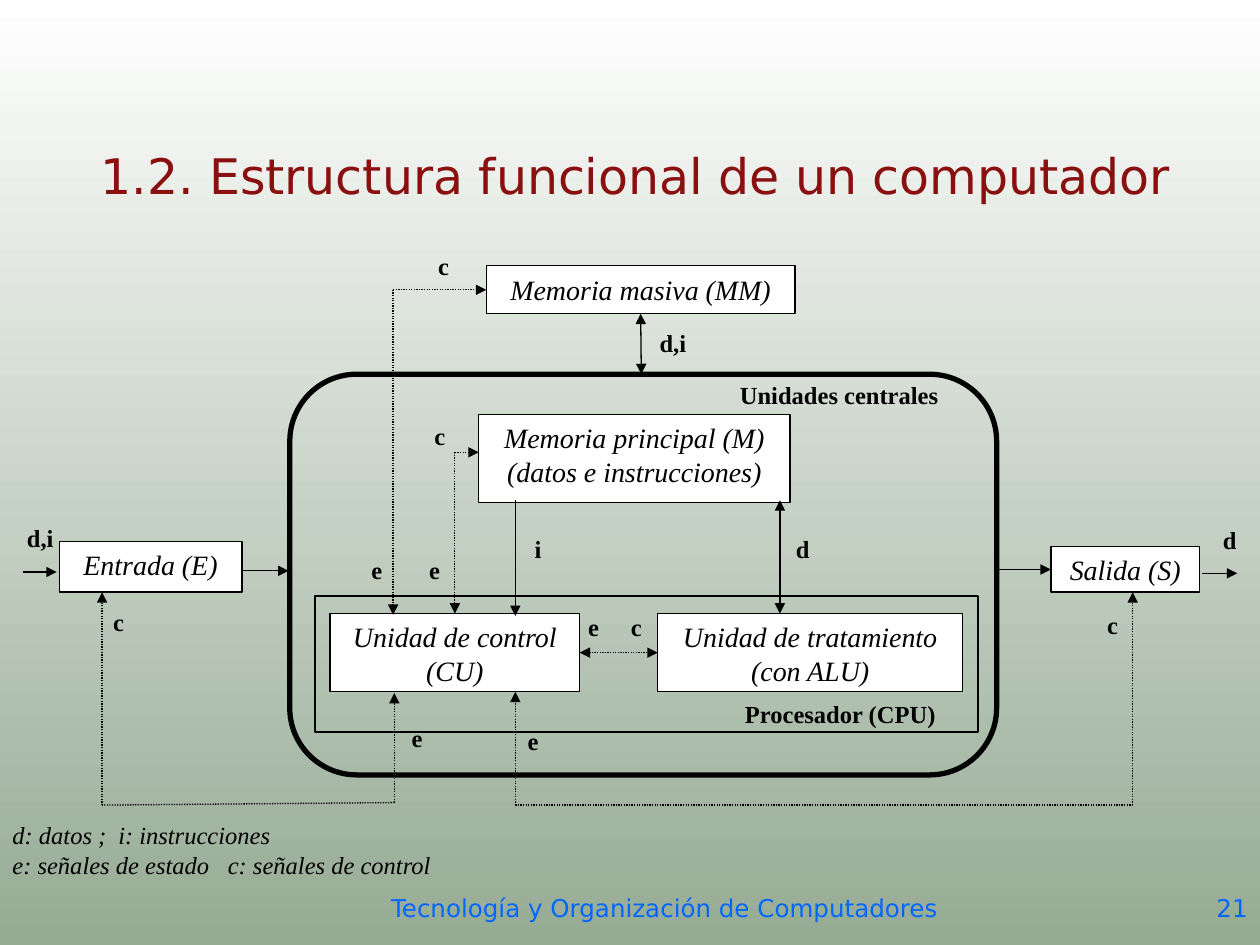
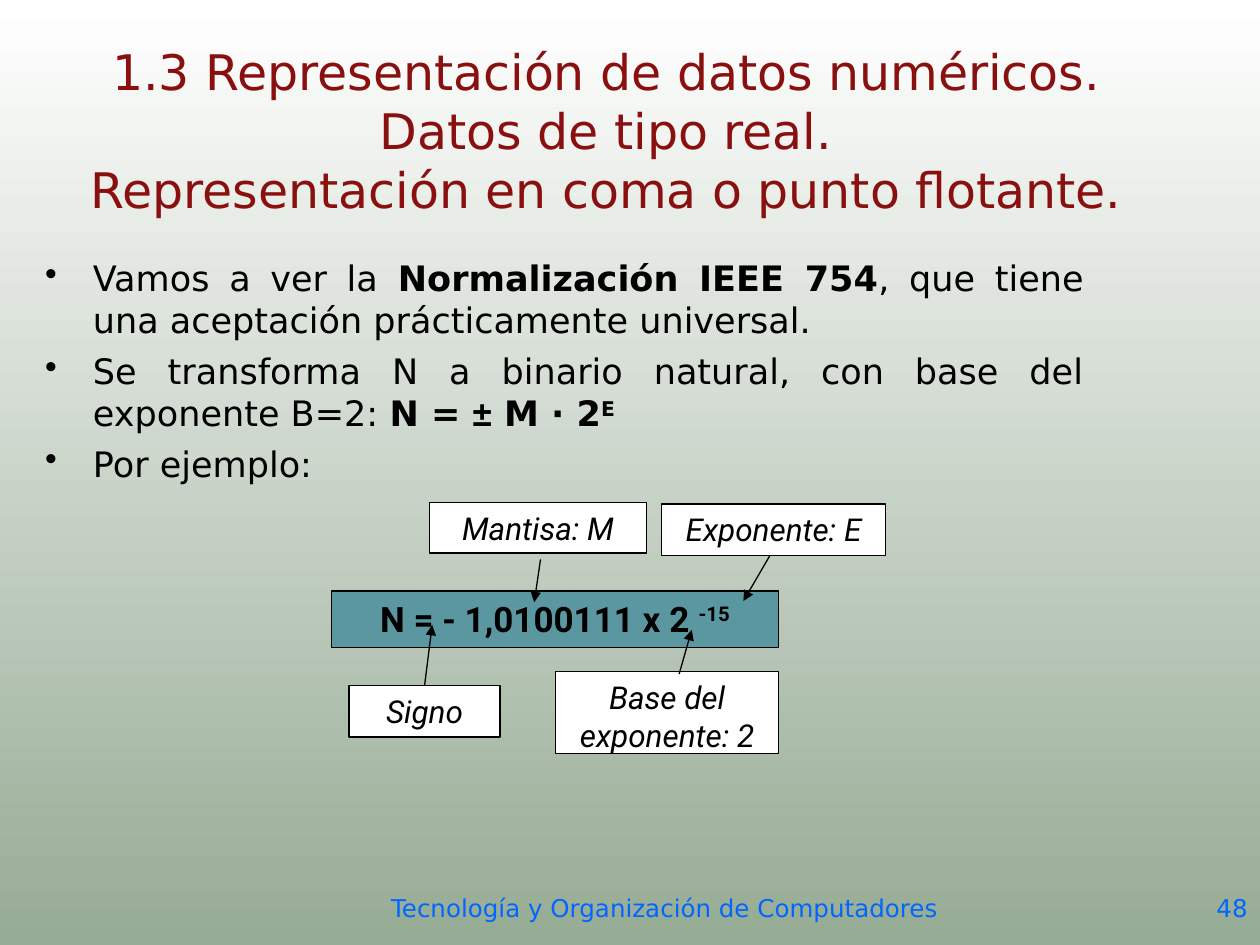
from lxml import etree
from pptx import Presentation
from pptx.dml.color import RGBColor
from pptx.enum import dml, shapes, text
from pptx.oxml import ns
from pptx.util import Inches, Pt

COLORS = {
    "title": "8A1010",
    "footer": "0066FF",
    "ink": "000000",
    "box": "FFFFFF",
    "formula": "5A97A1",
    "bg_top": "FFFFFF",
    "bg_bottom": "96AB94",
}
SANS = "DejaVu Sans"
SERIF = "Times New Roman"
ROBOTO = "Roboto"
FOOTER = "Tecnología y Organización de Computadores"
CENTER = text.PP_ALIGN.CENTER


def rgb(name):
    return RGBColor.from_string(COLORS[name])


def place(x, y, w, h):
    return Inches(x), Inches(y), Inches(w), Inches(h)


def sub(parent, tag, **attrs):
    return etree.SubElement(parent, ns.qn(tag), attrs)


def style(font, size, name, color="ink", bold=False, italic=False):
    font.size = Pt(size)
    font.name = name
    font.bold = bold
    font.italic = italic
    font.color.rgb = rgb(color)


def style_frame(tf, align, *args, **kwargs):
    tf.word_wrap = True
    for p in tf.paragraphs:
        p.alignment = align
        for r in p.runs:
            style(r.font, *args, **kwargs)


def superscript(r):
    r.font._element.set("baseline", "30000")


def textbox(s, at, content, align, *args, **kwargs):
    tf = s.shapes.add_textbox(*place(*at)).text_frame
    tf.text = content
    style_frame(tf, align, *args, **kwargs)
    return tf


def new_slide(prs, title, title_at, number):
    s = prs.slides.add_slide(prs.slide_layouts[5])
    fill = s.background.fill
    fill.gradient()
    fill.gradient_angle = 270
    for stop, name in zip(fill.gradient_stops, ("bg_top", "bg_bottom")):
        stop.color.rgb = rgb(name)

    sp = s.shapes.title
    sp.left, sp.top, sp.width, sp.height = place(*title_at)
    tf = sp.text_frame
    tf.text = title
    tf.auto_size = text.MSO_AUTO_SIZE.NONE
    tf.vertical_anchor = text.MSO_ANCHOR.MIDDLE
    style_frame(tf, CENTER, 28, SANS, "title")

    textbox(s, (8.55, 7.04, 1.45, 0.46), str(number), text.PP_ALIGN.RIGHT, 14, SANS, "footer")
    textbox(s, (2.11, 7.04, 6.33, 0.46), FOOTER, CENTER, 14, SANS, "footer")
    return s


def outline(s, at, width, preset=shapes.MSO_SHAPE.RECTANGLE):
    sp = s.shapes.add_shape(preset, *place(*at))
    sp.shadow.inherit = False
    sp.fill.background()
    sp.line.color.rgb = rgb("ink")
    sp.line.width = Pt(width)
    return sp


def box(s, at, content, size, font, fill="box", bold=False):
    sp = outline(s, at, 0.75)
    sp.fill.solid()
    sp.fill.fore_color.rgb = rgb(fill)
    tf = sp.text_frame
    tf.text = content
    tf.vertical_anchor = text.MSO_ANCHOR.TOP
    style_frame(tf, CENTER, size, font, bold=bold, italic=not bold)
    return sp


def line(s, start, end, arrows="end", dotted=False):
    points = [(0, 0) if hasattr(a, "shape_id") else (a, b) for a, b in (start, end)]
    cx = s.shapes.add_connector(
        shapes.MSO_CONNECTOR.STRAIGHT, *(Inches(v) for point in points for v in point)
    )
    for (target, site), connect in ((start, cx.begin_connect), (end, cx.end_connect)):
        if hasattr(target, "shape_id"):
            connect(target, site)
    cx.line.color.rgb = rgb("ink")
    cx.line.width = Pt(0.75)
    if dotted:
        cx.line.dash_style = dml.MSO_LINE.ROUND_DOT
    ln = cx.line._get_or_add_ln()
    if arrows == "both":
        sub(ln, "a:headEnd", type="triangle")
    if arrows != "none":
        sub(ln, "a:tailEnd", type="triangle")
    sub(cx._element.spPr, "a:effectLst")


def label(s, content, x, y, w=0.38, h=0.37):
    textbox(s, (x, y, w, h), content, CENTER, 14, SERIF, bold=True)


def legend(s, at, rows):
    tf = textbox(s, at, "\n".join(f"{a}\t{b}" for a, b, _ in rows), None, 14, SERIF, italic=True)
    for p, (_, _, stop) in zip(tf.paragraphs, rows):
        tabs = sub(p._p.get_or_add_pPr(), "a:tabLst")
        sub(tabs, "a:tab", pos=str(Inches(stop)), algn="l")


def bullets(s, at, items):
    tf = s.shapes.add_textbox(*place(*at)).text_frame
    tf.word_wrap = True
    for i, parts in enumerate(items):
        p = tf.add_paragraph() if i else tf.paragraphs[0]
        p.alignment = text.PP_ALIGN.JUSTIFY
        if i:
            p.space_before = Pt(5)
        pPr = p._p.get_or_add_pPr()
        pPr.set("marL", str(Inches(0.38)))
        pPr.set("indent", str(Inches(-0.38)))
        sub(pPr, "a:buChar", char="•")
        for content, bold, font in parts:
            r = p.add_run()
            r.text = content
            style(r.font, 20, font, bold=bold)
    return tf


def structure_slide(prs):
    s = new_slide(
        prs, "1.2. Estructura funcional de un computador", (0.08, 0.91, 9.92, 0.95), 21
    )
    units = {
        "input": ("Entrada (E)", (0.47, 4.3, 1.45, 0.4)),
        "output": ("Salida (S)", (8.34, 4.34, 1.18, 0.36)),
        "main": ("Memoria principal (M)\n(datos e instrucciones)", (3.8, 3.29, 2.47, 0.7)),
        "mass": ("Memoria masiva (MM)", (3.86, 2.11, 2.45, 0.38)),
        "control": ("Unidad de control (CU)", (2.62, 4.87, 1.98, 0.62)),
        "alu": ("Unidad de tratamiento (con ALU)", (5.22, 4.87, 2.42, 0.62)),
    }
    unit = {key: box(s, at, name, 16, SERIF) for key, (name, at) in units.items()}
    central = outline(s, (2.3, 2.97, 5.61, 3.18), 3, shapes.MSO_SHAPE.ROUNDED_RECTANGLE)
    central.adjustments[0] = 0.167
    outline(s, (2.5, 4.73, 5.26, 1.08), 1)

    for start, end, arrows in (
        ((unit["mass"], 2), (5.09, 2.97), "both"),
        ((6.19, 3.97), (6.19, 4.87), "both"),
        ((4.09, 3.97), (4.09, 4.89), "end"),
        ((1.91, 4.53), (2.29, 4.53), "end"),
        ((7.91, 4.52), (unit["output"], 1), "end"),
        ((9.54, 4.55), (9.82, 4.55), "end"),
        ((0.18, 4.54), (0.45, 4.54), "end"),
    ):
        line(s, start, end, arrows)

    for start, end, arrows in (
        ((3.61, 3.59), (3.8, 3.59), "end"),
        ((3.61, 3.59), (unit["control"], 0), "end"),
        ((3.13, 6.37), (3.13, 5.5), "end"),
        ((3.13, 6.37), (0.81, 6.39), "none"),
        ((0.81, 6.39), (0.81, 4.7), "end"),
        ((3.12, 2.3), (3.12, 4.88), "end"),
        ((3.12, 2.3), (unit["mass"], 1), "end"),
        ((4.09, 6.39), (4.09, 5.49), "end"),
        ((4.09, 6.39), (8.99, 6.39), "none"),
        ((8.99, 6.39), (8.99, 4.7), "end"),
        ((unit["control"], 3), (unit["alu"], 1), "both"),
    ):
        line(s, start, end, arrows, dotted=True)

    label(s, "Unidades centrales", 5.6, 2.97, 2.12, 0.3)
    label(s, "Procesador (CPU)", 5.61, 5.5, 2.12, 0.36)
    signals = {
        "c": ((3.3, 3.29), (0.75, 4.77), (3.33, 1.94), (4.86, 4.81), (8.64, 4.79)),
        "e": ((3.12, 5.69), (4.04, 5.71), (2.8, 4.36), (3.26, 4.36), (4.52, 4.81)),
    }
    for name, spots in signals.items():
        for x, y in spots:
            label(s, name, x, y)
    for name, x, y, w in (
        ("d,i", 5.02, 2.55, 0.64),
        ("d,i", 0, 4.1, 0.64),
        ("d", 9.52, 4.12, 0.48),
        ("d", 6.13, 4.19, 0.48),
        ("i", 4.03, 4.19, 0.48),
    ):
        label(s, name, x, y, w, 0.38)
    legend(s, (0, 6.46, 4.35, 0.62), (
        ("d: datos ;", "i: instrucciones", 0.84),
        ("e: señales de estado", "c: señales de control", 1.71),
    ))


def floating_point_slide(prs):
    title = (
        "1.3 Representación de datos numéricos. Datos de tipo real.\v"
        "Representación en coma o punto flotante."
    )
    s = new_slide(prs, title, (0.59, 0.36, 8.44, 1.34), 48)
    tf = bullets(s, (0.26, 1.99, 8.44, 4.91), (
        (
            ("Vamos a ver la ", False, SANS),
            ("Normalización IEEE 754", True, SANS),
            (", que tiene una aceptación prácticamente universal.", False, SANS),
        ),
        (
            ("Se transforma N a binario natural, con base del exponente B=2: ", False, SANS),
            ("N = ", True, SANS),
            ("±", True, "Arial"),
            (" M · 2", True, SANS),
            ("E", True, SANS),
        ),
        (("Por ejemplo:", False, SANS),),
    ))
    superscript(tf.paragraphs[1].runs[-1])

    formula = box(
        s, (2.63, 4.69, 3.55, 0.45), "N = - 1,0100111 x 2 ", 20, ROBOTO, "formula", bold=True
    )
    r = formula.text_frame.paragraphs[0].add_run()
    r.text = "-15"
    style(r.font, 20, ROBOTO, bold=True)
    superscript(r)

    sign = box(s, (2.77, 5.44, 1.2, 0.41), "Signo", 18, ROBOTO)
    box(s, (3.41, 3.99, 1.72, 0.4), "Mantisa: M", 18, ROBOTO)
    box(s, (5.25, 4, 1.78, 0.41), "Exponente: E", 18, ROBOTO)
    box(s, (4.41, 5.33, 1.77, 0.65), "Base del exponente: 2", 18, ROBOTO)
    for start, end in (
        ((4.29, 4.44), (4.24, 4.78)),
        ((6.11, 4.41), (5.9, 4.77)),
        ((sign, 0), (3.43, 4.96)),
        ((5.39, 5.35), (5.49, 5)),
    ):
        line(s, start, end)


def main():
    prs = Presentation()
    prs.slide_width = Inches(10)
    prs.slide_height = Inches(7.5)
    structure_slide(prs)
    floating_point_slide(prs)
    prs.save("out.pptx")


if __name__ == "__main__":
    main()
